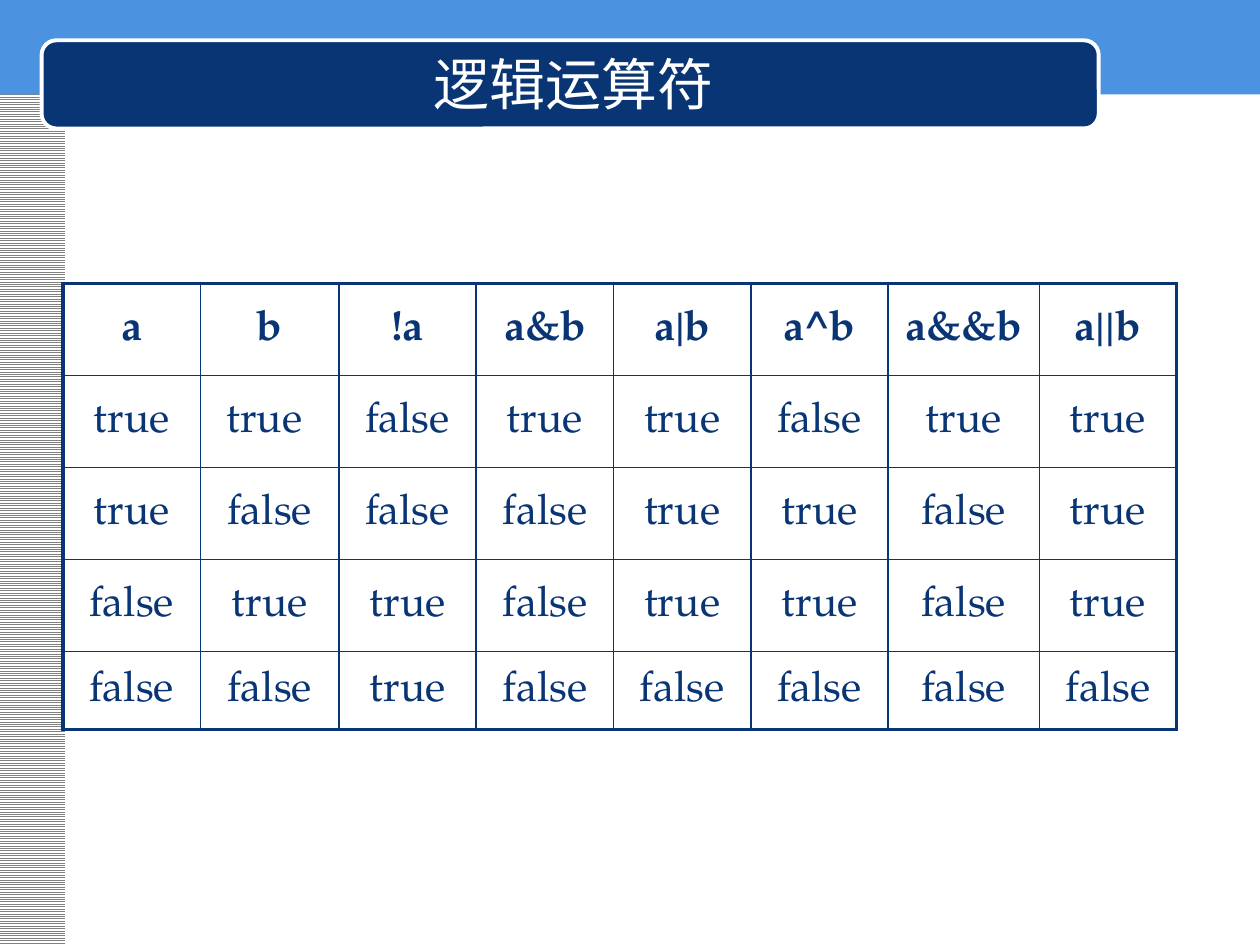
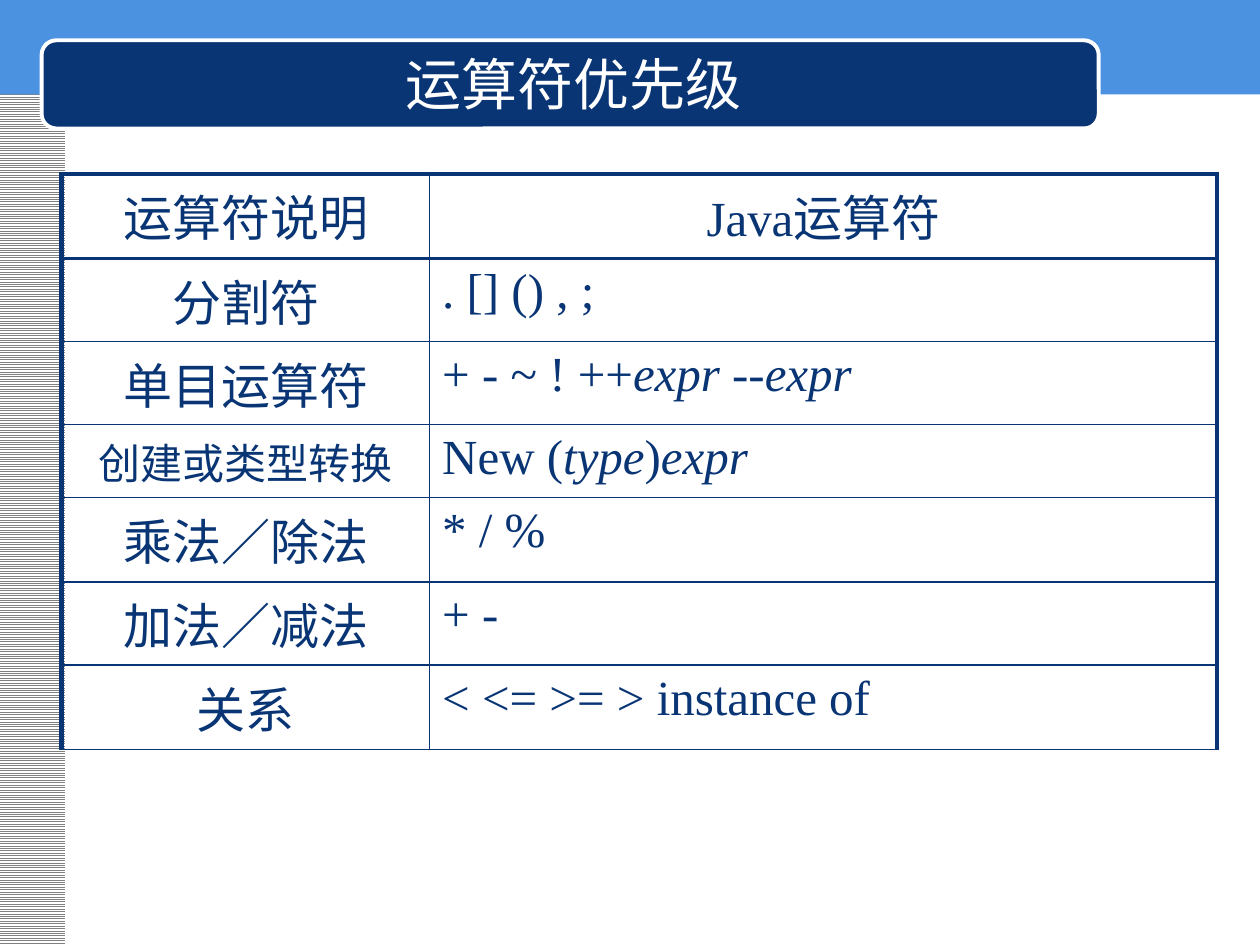
from lxml import etree
from pptx import Presentation
from pptx.dml.color import RGBColor
from pptx.enum.dml import MSO_PATTERN
from pptx.enum.shapes import MSO_SHAPE as SHAPE
from pptx.enum.text import MSO_ANCHOR as ANCHOR, PP_ALIGN as ALIGN
from pptx.oxml.ns import qn
from pptx.util import Inches, Pt

COLORS = {"navy": "093575", "blue": "4B92E1", "gray": "808080", "white": "FFFFFF"}
CJK_FONT = "Noto Sans CJK SC"
TRUTH_FONT = "TeX Gyre Pagella"
PRECEDENCE_FONT = "Times New Roman"

TRUTH_ROWS = [
    ["a", "b", "!a", "a&b", "a|b", "a^b", "a&&b", "a||b"],
    ["true", "true ", "false", "true", "true", "false", "true", "true"],
    ["true", "false", "false", "false", "true", "true", "false", "true"],
    ["false", "true", "true", "false", "true", "true", "false", "true"],
    ["false", "false", "true", "false", "false", "false", "false", "false"],
]
# Each operator cell is a list of runs; a run is (text, italic).
PRECEDENCE_ROWS = [
    ("运算符说明", [("Java运算符", False)]),
    ("分割符", [(". [] () , ;", False)]),
    ("单目运算符", [("+ - ~ ! ++", False), ("expr --expr", True)]),
    ("创建或类型转换", [("New (", False), ("type", True), (")", False), ("expr", True)]),
    ("乘法／除法", [("* / %", False)]),
    ("加法／减法", [("+ -", False)]),
    ("关系", [("< <= >= > instance of", False)]),
]


def rgb(name):
    return RGBColor.from_string(COLORS[name])


def add_run(p, text, font, size, color="navy", bold=False, italic=False):
    r = p.add_run()
    r.text = text
    f = r.font
    f.name, f.size, f.bold, f.italic = font, Pt(size), bold, italic
    f.color.rgb = rgb(color)
    ea = etree.SubElement(r._r.get_or_add_rPr(), qn("a:ea"))
    ea.set("typeface", CJK_FONT)


def add_band(s, box, shape=SHAPE.RECTANGLE, color=None):
    sp = s.shapes.add_shape(shape, *map(Inches, box))
    sp.shadow.inherit = False
    sp.line.fill.background()
    if color:
        sp.fill.solid()
        sp.fill.fore_color.rgb = rgb(color)
    return sp


def add_frame(s, title):
    """Draw the striped side, the top band and the title plate."""
    side = add_band(s, (-0.01, 0, 0.53, 7.5))
    side.fill.patterned()
    side.fill.pattern = MSO_PATTERN.LIGHT_HORIZONTAL
    side.fill.fore_color.rgb = rgb("gray")
    side.fill.back_color.rgb = rgb("white")

    add_band(s, (0, 0, 10.01, 0.75), color="blue")
    plate = add_band(s, (0.33, 0.32, 8.39, 0.7), SHAPE.ROUNDED_RECTANGLE, "navy")
    plate.line.color.rgb = rgb("white")
    plate.line.width = Pt(2.25)

    tf = s.shapes.add_textbox(*map(Inches, (0.51, 0.35, 8.08, 0.62))).text_frame
    tf.word_wrap = True
    tf.vertical_anchor = ANCHOR.MIDDLE
    p = tf.paragraphs[0]
    p.alignment = ALIGN.CENTER
    add_run(p, title, CJK_FONT, 32, "white")


def set_borders(cell, **widths):
    tc_pr = cell._tc.get_or_add_tcPr()
    for side in "LRTB":
        ln = etree.SubElement(tc_pr, qn(f"a:ln{side}"), w=str(Pt(widths[side])))
        fill = etree.SubElement(ln, qn("a:solidFill"))
        etree.SubElement(fill, qn("a:srgbClr"), val=COLORS["navy"])


def add_grid(s, left, top, cols, rows, outer, header=1, bottom=1):
    """Add an unfilled table; outer, header and bottom are line widths in points."""
    sizes = map(Inches, (left, top, sum(cols), sum(rows)))
    table = s.shapes.add_table(len(rows), len(cols), *sizes).table
    table.first_row = table.horz_banding = False
    for col, width in zip(table.columns, cols):
        col.width = Inches(width)
    for row, height in zip(table.rows, rows):
        row.height = Inches(height)

    last_row, last_col = len(rows) - 1, len(cols) - 1
    for i in range(len(rows)):
        for j in range(len(cols)):
            cell = table.cell(i, j)
            set_borders(
                cell,
                L=outer if j == 0 else 1,
                R=outer if j == last_col else 1,
                T=outer if i == 0 else header if i == 1 else 1,
                B=bottom if i == last_row else header if i == 0 else 1,
            )
            cell.fill.background()
    return table


def add_truth_table(s, left, top):
    cols = [1.09, 1.1] + [1.09] * 4 + [1.2, 1.09]
    rows = [0.73] * 4 + [0.62]
    table = add_grid(s, left, top, cols, rows, outer=2.25, bottom=2.25)
    for i, values in enumerate(TRUTH_ROWS):
        for j, value in enumerate(values):
            cell = table.cell(i, j)
            cell.vertical_anchor = ANCHOR.MIDDLE
            cell.margin_left = cell.margin_right = Inches(0.12)
            cell.margin_top = cell.margin_bottom = Inches(0.06)
            p = cell.text_frame.paragraphs[0]
            p.alignment = ALIGN.CENTER
            p.line_spacing = 0.9
            add_run(p, value, TRUTH_FONT, 24, bold=i == 0)


def add_precedence_table(s, left, top):
    rows = [0.67, 0.66, 0.66, 0.58, 0.67, 0.66, 0.67]
    table = add_grid(s, left, top, [2.92, 6.25], rows, outer=3, header=2.25)
    for i, (label, operators) in enumerate(PRECEDENCE_ROWS):
        p = table.cell(i, 0).text_frame.paragraphs[0]
        p.alignment = ALIGN.CENTER
        add_run(p, label, PRECEDENCE_FONT, 24 if len(label) > 5 else 28)

        p = table.cell(i, 1).text_frame.paragraphs[0]
        p.alignment = ALIGN.CENTER if i == 0 else ALIGN.LEFT
        for text, italic in operators:
            add_run(p, text, PRECEDENCE_FONT, 28, italic=italic)


def main():
    prs = Presentation()
    prs.slide_width, prs.slide_height = Inches(10), Inches(7.5)
    slides = [
        ("逻辑运算符", add_truth_table, 0.5, 2.25),
        ("运算符优先级", add_precedence_table, 0.49, 1.38),
    ]
    for title, add_content, left, top in slides:
        s = prs.slides.add_slide(prs.slide_layouts[6])
        add_frame(s, title)
        add_content(s, left, top)
    prs.save("out.pptx")


if __name__ == "__main__":
    main()
